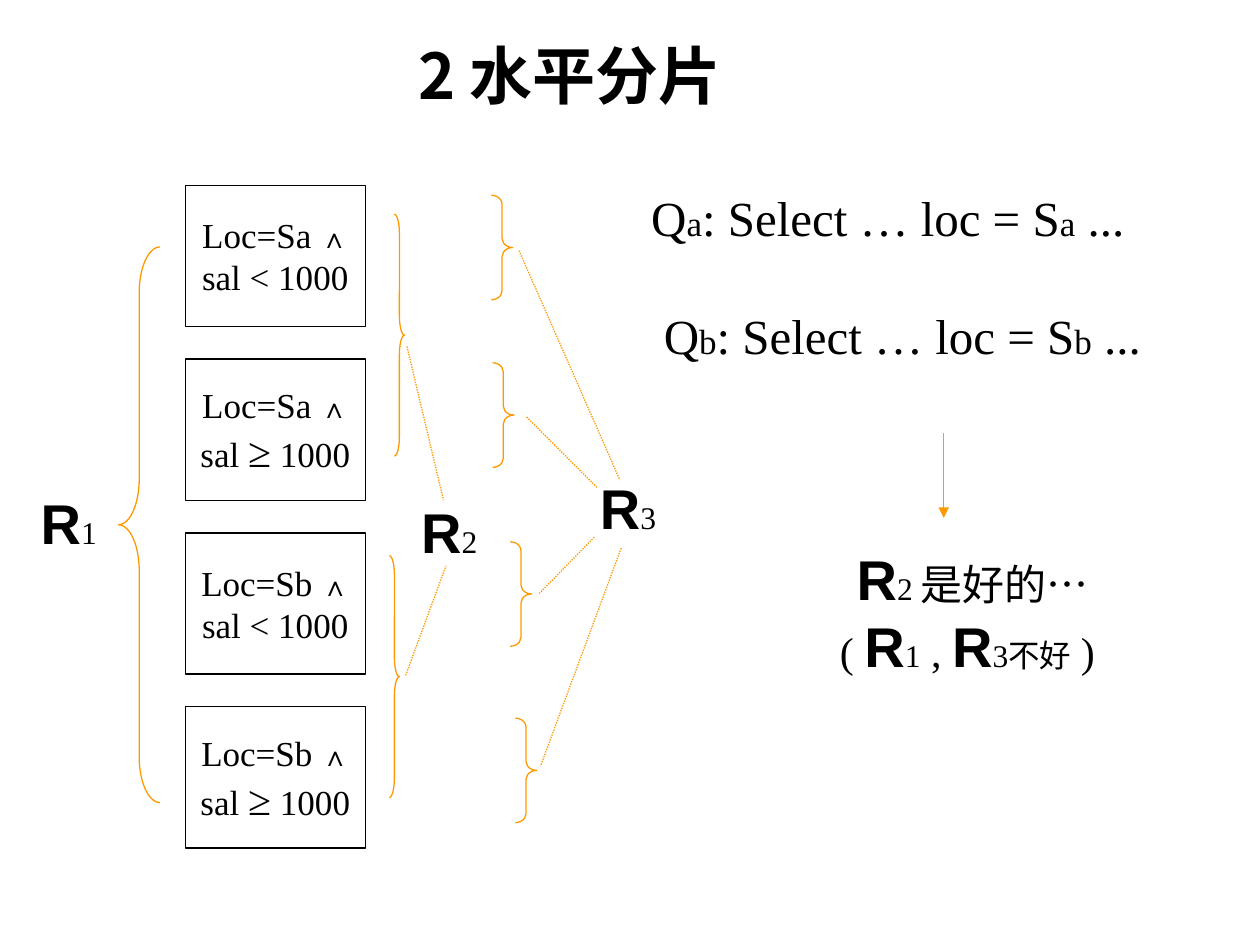
from lxml.etree import SubElement
from pptx import Presentation
from pptx.dml.color import RGBColor
from pptx.enum.dml import MSO_LINE
from pptx.enum.shapes import MSO_CONNECTOR, MSO_SHAPE
from pptx.enum.text import MSO_ANCHOR, MSO_AUTO_SIZE, PP_ALIGN
from pptx.oxml.ns import qn
from pptx.util import Inches, Pt

BLACK, WHITE, ORANGE = "000000", "FFFFFF", "FF9900"
SERIF, SANS, CJK = "Times New Roman", "Arial", "Noto Sans CJK SC"
COLUMNS, ROWS = 100, 75


def color(value):
    return RGBColor.from_string(value)


def relation(number):
    """Runs for a relation name with its small index."""
    return [("R", 32, True, SANS), (number, 18)]


class FragmentSlide:
    """Places elements on a grid of 100 columns by 75 rows."""

    def __init__(self, deck):
        self.width, self.height = deck.slide_width, deck.slide_height
        self.slide = deck.slides.add_slide(deck.slide_layouts[5])
        self.shapes = self.slide.shapes

    def point(self, column, row):
        return round(self.width * column / COLUMNS), round(self.height * row / ROWS)

    def area(self, left, top, width, height):
        return *self.point(left, top), *self.point(width, height)

    def add_lines(self, frame, lines, align):
        """Each line is a list of runs: text, size, bold, font."""
        for index, runs in enumerate(lines):
            para = frame.add_paragraph() if index else frame.paragraphs[0]
            para.alignment = align
            for text, size, *style in runs:
                bold, name = style + [False, SERIF][len(style):]
                span = para.add_run()
                span.text = text
                font = span.font
                font.size, font.bold, font.name = Pt(size), bold, name
                font.color.rgb = color(BLACK)
                if name == CJK:
                    SubElement(span._r.get_or_add_rPr(), qn("a:ea"), typeface=name)

    def title(self, place, runs):
        box = self.shapes.title
        box.left, box.top, box.width, box.height = self.area(*place)
        frame = box.text_frame
        frame.vertical_anchor = MSO_ANCHOR.TOP
        frame.auto_size = MSO_AUTO_SIZE.SHAPE_TO_FIT_TEXT
        self.add_lines(frame, [runs], PP_ALIGN.LEFT)

    def text(self, place, lines, align=PP_ALIGN.CENTER):
        frame = self.shapes.add_textbox(*self.area(*place)).text_frame
        frame.word_wrap = False
        frame.auto_size = MSO_AUTO_SIZE.SHAPE_TO_FIT_TEXT
        frame.vertical_anchor = MSO_ANCHOR.MIDDLE
        self.add_lines(frame, lines, align)

    def outline(self, kind, place, line):
        shape = self.shapes.add_shape(kind, *self.area(*place))
        shape.shadow.inherit = False
        shape.line.color.rgb = color(line)
        shape.line.width = Pt(0.75)
        return shape

    def fragment(self, place, lines):
        box = self.outline(MSO_SHAPE.RECTANGLE, place, BLACK)
        box.fill.solid()
        box.fill.fore_color.rgb = color(WHITE)
        box.text_frame.word_wrap = False
        box.text_frame.vertical_anchor = MSO_ANCHOR.MIDDLE
        self.add_lines(box.text_frame, lines, PP_ALIGN.CENTER)

    def brace(self, place, curve, kind=MSO_SHAPE.RIGHT_BRACE):
        brace = self.outline(kind, place, ORANGE)
        brace.fill.background()
        brace.adjustments[0] = curve

    def line(self, start, end, arrow=False):
        line = self.shapes.add_connector(
            MSO_CONNECTOR.STRAIGHT, *self.point(*start), *self.point(*end))
        line.line.color.rgb = color(ORANGE)
        line.line.width = Pt(0.75)
        if arrow:
            SubElement(line.line._get_or_add_ln(), qn("a:tailEnd"), type="triangle")
        else:
            line.line.dash_style = MSO_LINE.ROUND_DOT
        SubElement(line._element.spPr, qn("a:effectLst"))


def main():
    deck = Presentation()
    deck.slide_width, deck.slide_height = Inches(10), Inches(7.5)
    page = FragmentSlide(deck)
    page.title((32.2, 2.4, 50, 7), [("2 水平分片", 36, True, CJK)])

    # Four fragments, one for each location and salary range
    low = [("sal < 1000", 20)]
    high = [("sal ", 20), ("≥", 24), (" 1000", 20)]
    fragments = [("Sa", low), ("Sa", high), ("Sb", low), ("Sb", high)]
    for index, (place, salary) in enumerate(fragments):
        condition = [(f"Loc={place} ", 20), ("∧", 16, True)]
        page.fragment((14.7, 14.7 + 13.8 * index, 14.3, 11.2), [condition, salary])

    # Braces: all fragments, pairs by location, single fragments
    page.brace((9.4, 19.6, 3.3, 44.1), 1.1, MSO_SHAPE.LEFT_BRACE)
    for left, top in [(31.3, 17), (30.9, 44.1)]:
        page.brace((left, top, 0.8, 19.2), 1.91)
    for left, top in [(39, 15.5), (39.1, 28.8), (40.5, 43), (40.9, 57)]:
        page.brace((left, top, 1.7, 8.3), 0.42)

    # Dotted lines from the braces to R2 and R3
    for start, end in [
        ((32.3, 27.5), (35.2, 39.7)), ((32.2, 53.6), (35.4, 44.9)),
        ((41.2, 19.9), (49.2, 38.1)), ((41.8, 33.1), (47.4, 38.7)),
        ((42.8, 47.1), (47.2, 42.6)), ((49.3, 43.5), (42.9, 60.8)),
    ]:
        page.line(start, end)

    # Relation names
    for number, left, top in [("1", 2.2, 38.3), ("2", 32.4, 39), ("3", 46.6, 37.1)]:
        page.text((left, top, 6.5, 6.3), [relation(number)])

    # Queries
    for name, left, top, width in [("a", 50.7, 14.4, 39.6), ("b", 51.7, 23.7, 39.9)]:
        query = [("Q", 28), (name, 20), (": Select … loc = S", 28), (name, 20), (" ...", 28)]
        page.text((left, top, width, 5.7), [query], PP_ALIGN.LEFT)

    # Conclusion
    page.line((74.9, 34.4), (74.9, 41.1), arrow=True)
    page.text((65.6, 42.7, 23.2, 11.7), [
        relation("2 ") + [("是好的…", 24)],
        [("( ", 24)] + relation("1") + [(" , ", 24)] + relation("3不好") + [(" ) ", 24)],
    ])
    deck.save("out.pptx")


if __name__ == "__main__":
    main()
